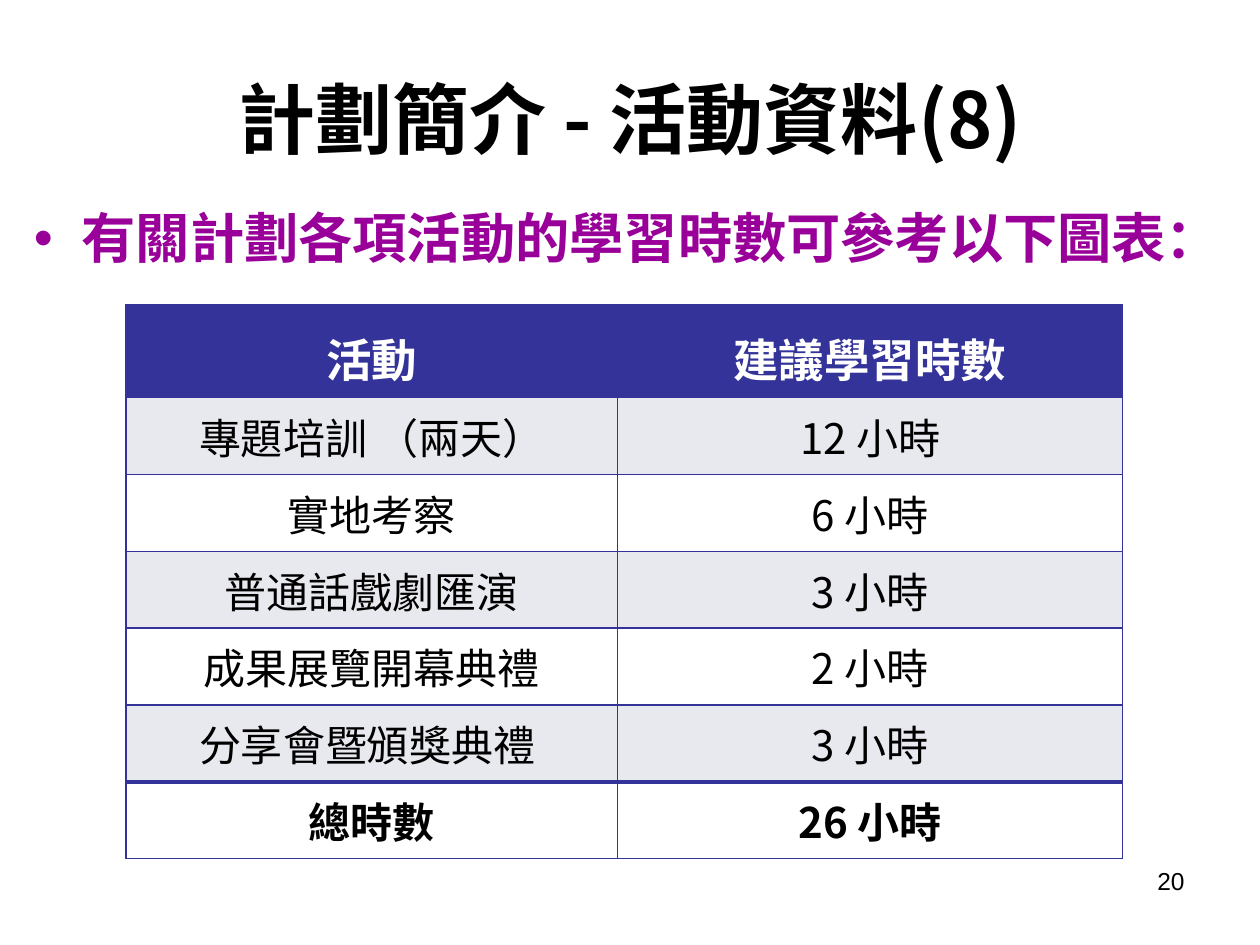
from lxml.etree import SubElement
from pptx import Presentation
from pptx.dml.color import RGBColor
from pptx.enum.text import MSO_ANCHOR, PP_ALIGN
from pptx.oxml.ns import qn
from pptx.util import Inches, Pt

W, H = 10, 7.5
SANS = "Noto Sans CJK TC"
BLUE, GREY, WHITE = "333399", "E8E8EF", "FFFFFF"
ROWS = [
    ("活動", "建議學習時數"),
    ("專題培訓 （兩天）", "12 小時"),
    ("實地考察", "6 小時"),
    ("普通話戲劇匯演", "3 小時"),
    ("成果展覽開幕典禮", "2 小時"),
    ("分享會暨頒獎典禮 ", "3 小時"),
    ("總時數", "26 小時"),
]


def color(code):
    return RGBColor.from_string(code)


def write(frame, text, size=24, hue="000000", bold=False, font=SANS,
          align=PP_ALIGN.CENTER):
    frame.word_wrap = True
    para = frame.paragraphs[0]
    para.alignment = align
    run = para.add_run()
    run.text = text
    run.font.size = Pt(size)
    run.font.bold = bold
    run.font.name = font
    run.font.color.rgb = color(hue)
    SubElement(run.font._element, qn("a:ea"), typeface=font)
    return para


def box(slide, x, y, w, h, text, anchor=MSO_ANCHOR.TOP, **look):
    shape = slide.shapes.add_textbox(
        Inches(x * W), Inches(y * H), Inches(w * W), Inches(h * H))
    shape.text_frame.vertical_anchor = anchor
    return write(shape.text_frame, text, **look)


def bullet(para, gap):
    props = para._p.get_or_add_pPr()
    props.set("marL", str(Inches(gap)))
    props.set("indent", str(-Inches(gap)))
    SubElement(props, qn("a:buFont"), typeface="Arial")
    SubElement(props, qn("a:buChar"), char="•")


def edge(cell, side, width):
    line = SubElement(cell._tc.get_or_add_tcPr(), qn("a:" + side),
                      w=str(Pt(width)))
    fill = SubElement(line, qn("a:solidFill"))
    SubElement(fill, qn("a:srgbClr"), val=BLUE)


def style(cell, text, row):
    last = len(ROWS) - 1
    head = row == 0
    pad_x, pad_y = (0.15, 0.15) if head else (0.1, 0.05)
    cell.margin_left = cell.margin_right = Inches(pad_x)
    cell.margin_top = cell.margin_bottom = Inches(pad_y)
    cell.vertical_anchor = MSO_ANCHOR.TOP if head else MSO_ANCHOR.MIDDLE
    edge(cell, "lnL", 1)
    edge(cell, "lnR", 1)
    edge(cell, "lnT", 2.25 if row == last else 1)
    edge(cell, "lnB", 2.25 if row == last - 1 else 1)
    cell.fill.solid()
    back = BLUE if head else GREY if row % 2 else WHITE
    cell.fill.fore_color.rgb = color(back)
    write(cell.text_frame, text, size=26 if head else 24,
          hue=WHITE if head else "000000", bold=row in (0, last))


def grid(slide, x, y, wide, tall):
    frame = slide.shapes.add_table(
        len(ROWS), len(wide), Inches(x * W), Inches(y * H),
        Inches(sum(wide)), Inches(sum(tall)))
    table = frame.table
    for col, w in zip(table.columns, wide):
        col.width = Inches(w)
    for row, h in zip(table.rows, tall):
        row.height = Inches(h)
    for r, texts in enumerate(ROWS):
        for c, text in enumerate(texts):
            style(table.cell(r, c), text, r)


def main():
    deck = Presentation()
    deck.slide_width, deck.slide_height = Inches(W), Inches(H)
    slide = deck.slides.add_slide(deck.slide_layouts[6])
    box(slide, 0.05, 0.04, 0.9, 0.17, "計劃簡介 - 活動資料(8)",
        anchor=MSO_ANCHOR.MIDDLE, size=44, bold=True)
    lead = box(slide, 0.017, 0.21, 0.983, 0.66,
               "有關計劃各項活動的學習時數可參考以下圖表：",
               size=31, hue="990099", bold=True, align=PP_ALIGN.LEFT)
    bullet(lead, 0.38)
    box(slide, 0.717, 0.91, 0.233, 0.07, "20", size=14, font="Arial",
        align=PP_ALIGN.RIGHT)
    grid(slide, 0.1, 0.323, [3.9, 4.01], [0.73] + [0.61] * 6)
    deck.save("out.pptx")


if __name__ == "__main__":
    main()
